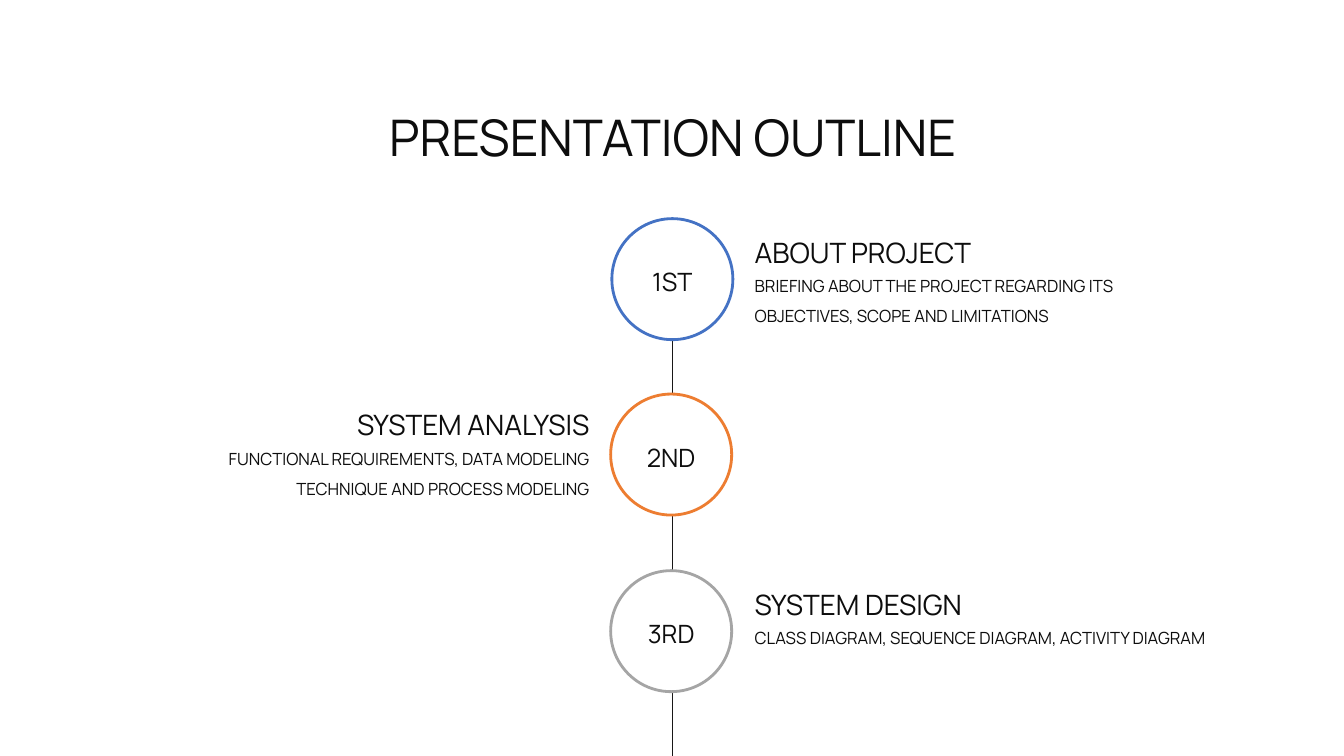
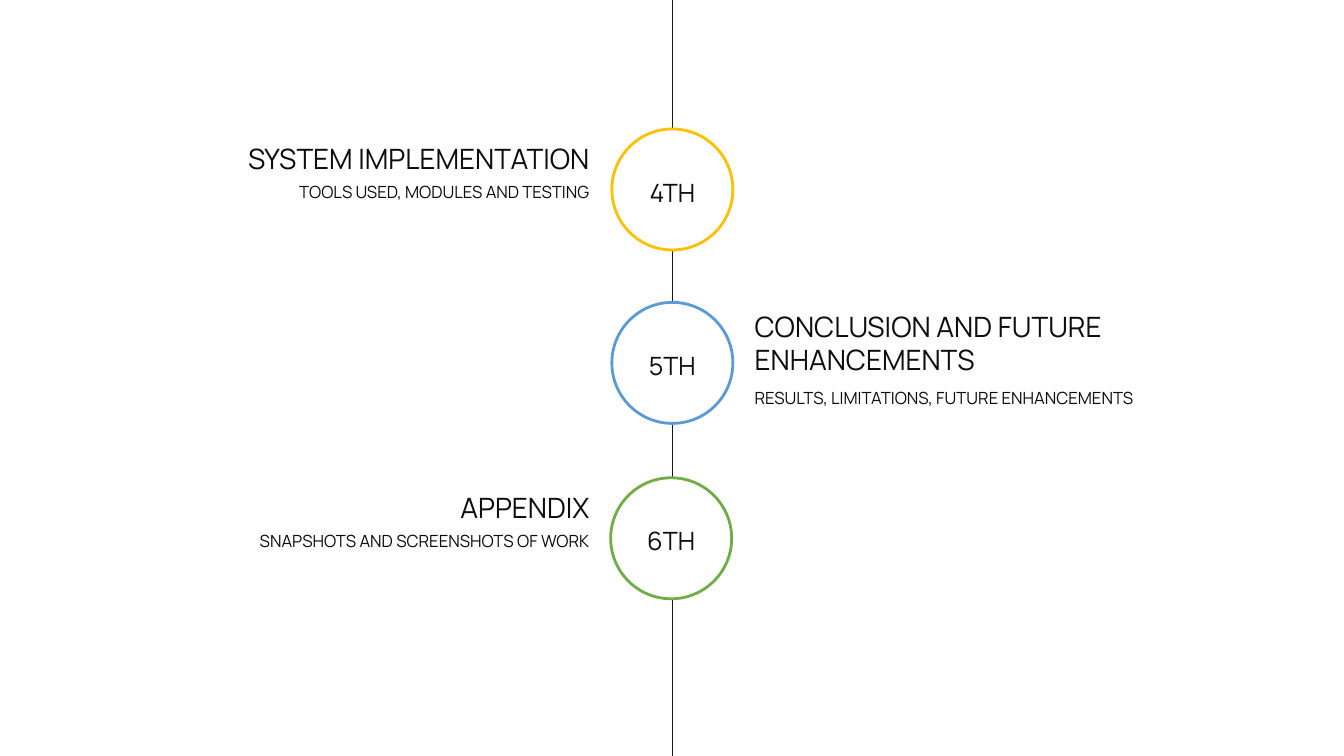
import pptx
import pptx.util
import pptx.dml.color
import pptx.enum.shapes
import pptx.enum.text
import pptx.oxml

Cm = pptx.util.Cm
Pt = pptx.util.Pt
ALIGN = pptx.enum.text.PP_ALIGN
ANCHOR = pptx.enum.text.MSO_ANCHOR

FONT = "Manrope"
COLORS = {
    "text": "0D0D0D",
    "axis": "181717",
    "white": "FFFFFF",
    "blue": "4472C4",
    "orange": "ED7D31",
    "gray": "A5A5A5",
    "yellow": "FFC000",
    "sky": "5B9BD5",
    "green": "70AD47",
}
SLIDE_WIDTH, SLIDE_HEIGHT = 33.87, 19.05
AXIS_X = 16.94
CIRCLE_SIZE = 3.05
TEXT_WIDTH = 11.96
SIDES = {"left": (3.15, ALIGN.RIGHT), "right": (18.77, ALIGN.LEFT)}
HEADING_HEIGHT = {1: 1.4, 2: 1.96}
DETAIL_OFFSET = {1: 1.19, 2: 1.73}

OUTLINE = [
    {
        "title": "PRESENTATION OUTLINE",
        "axis_top": 6.91,
        "steps": [
            ("1ST", "blue", 15.42, 5.51, "right", 5.38, 1, "ABOUT PROJECT",
             "BRIEFING ABOUT THE PROJECT REGARDING ITS OBJECTIVES, SCOPE AND LIMITATIONS"),
            ("2ND", "orange", 15.39, 9.93, "left", 9.73, 1, "SYSTEM ANALYSIS",
             "FUNCTIONAL REQUIREMENTS, DATA MODELING TECHNIQUE AND PROCESS MODELING"),
            ("3RD", "gray", 15.39, 14.38, "right", 14.25, 1, "SYSTEM DESIGN",
             "CLASS DIAGRAM, SEQUENCE DIAGRAM, ACTIVITY DIAGRAM"),
        ],
    },
    {
        "title": None,
        "axis_top": 0,
        "steps": [
            ("4TH", "yellow", 15.42, 3.25, "left", 3.02, 1, "SYSTEM IMPLEMENTATION",
             "TOOLS USED, MODULES AND TESTING"),
            ("5TH", "sky", 15.42, 7.62, "right", 7.67, 2, "CONCLUSION AND FUTURE ENHANCEMENTS",
             "RESULTS, LIMITATIONS, FUTURE ENHANCEMENTS"),
            ("6TH", "green", 15.39, 12.04, "left", 11.81, 1, "APPENDIX",
             "SNAPSHOTS AND SCREENSHOTS OF WORK"),
        ],
    },
]


def color(name):
    return pptx.dml.color.RGBColor.from_string(COLORS[name])


def write_text(shape, text, size, alignment, line_spacing=1.5, anchor=ANCHOR.TOP):
    frame = shape.text_frame
    frame.text = text
    frame.word_wrap = True
    frame.auto_size = pptx.enum.text.MSO_AUTO_SIZE.NONE
    frame.vertical_anchor = anchor
    paragraph = frame.paragraphs[0]
    paragraph.alignment = alignment
    paragraph.line_spacing = line_spacing
    paragraph.font.name = FONT
    paragraph.font.size = Pt(size)
    paragraph.font.color.rgb = color("text")


presentation = pptx.Presentation()
presentation.slide_width = Cm(SLIDE_WIDTH)
presentation.slide_height = Cm(SLIDE_HEIGHT)
title_layout = presentation.slide_layouts.get_by_name("Title Only")
blank_layout = presentation.slide_layouts.get_by_name("Blank")

for page in OUTLINE:
    slide = presentation.slides.add_slide(title_layout if page["title"] else blank_layout)
    if page["title"]:
        title = slide.shapes.title
        title.left, title.top = Cm(1.6), Cm(1.78)
        title.width, title.height = Cm(30.71), Cm(2.29)
        write_text(title, page["title"], 36, ALIGN.CENTER)

    axis = slide.shapes.add_connector(
        pptx.enum.shapes.MSO_CONNECTOR.STRAIGHT,
        Cm(AXIS_X), Cm(page["axis_top"]), Cm(AXIS_X), Cm(SLIDE_HEIGHT))
    axis.line.color.rgb = color("axis")
    axis.line.width = Pt(0.5)
    axis.element.spPr.append(pptx.oxml.parse_xml(
        '<a:effectLst xmlns:a="http://schemas.openxmlformats.org/drawingml/2006/main"/>'))

    for (number, ring, circle_left, circle_top, side, heading_top,
         heading_lines, heading, detail) in page["steps"]:
        circle = slide.shapes.add_shape(
            pptx.enum.shapes.MSO_SHAPE.OVAL,
            Cm(circle_left), Cm(circle_top), Cm(CIRCLE_SIZE), Cm(CIRCLE_SIZE))
        circle.shadow.inherit = False
        circle.fill.solid()
        circle.fill.fore_color.rgb = color("white")
        circle.line.color.rgb = color(ring)
        circle.line.width = Pt(2)
        write_text(circle, number, 18, ALIGN.CENTER, anchor=ANCHOR.MIDDLE)
        circle.text_frame.margin_left = circle.text_frame.margin_right = 0
        circle.text_frame.margin_top, circle.text_frame.margin_bottom = 0, Cm(0.25)

        text_left, alignment = SIDES[side]
        heading_box = slide.shapes.add_textbox(
            Cm(text_left), Cm(heading_top), Cm(TEXT_WIDTH), Cm(HEADING_HEIGHT[heading_lines]))
        write_text(heading_box, heading, 20, alignment, 1.5 if heading_lines == 1 else 1.0)
        detail_box = slide.shapes.add_textbox(
            Cm(text_left), Cm(heading_top + DETAIL_OFFSET[heading_lines]), Cm(TEXT_WIDTH), Cm(1.7))
        write_text(detail_box, detail, 12, alignment)

presentation.save("out.pptx")
